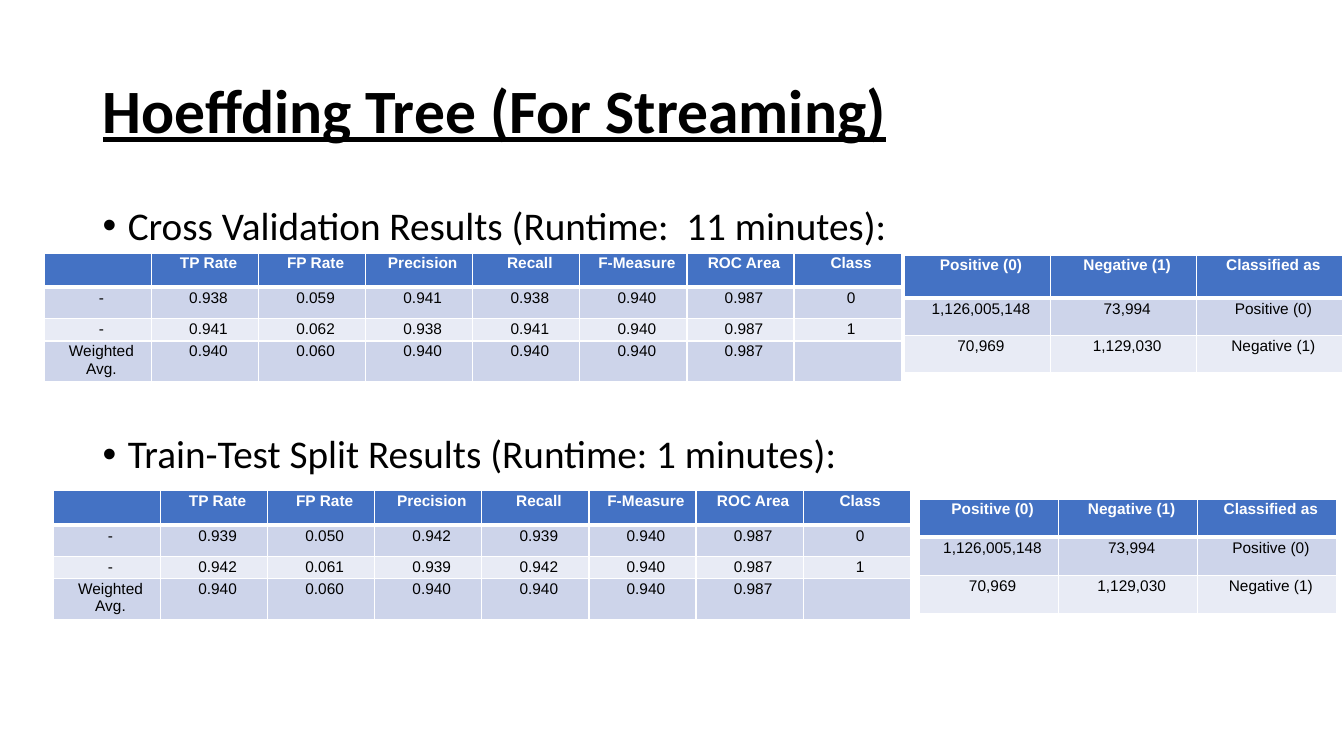
import pptx
import pptx.dml.color
import pptx.enum.text
import pptx.oxml
import pptx.oxml.ns
import pptx.util
from lxml import etree

Inches = pptx.util.Inches
Pt = pptx.util.Pt
RGBColor = pptx.dml.color.RGBColor
ALIGN = pptx.enum.text.PP_ALIGN
ANCHOR = pptx.enum.text.MSO_ANCHOR
qn = pptx.oxml.ns.qn

BLACK = RGBColor(0x00, 0x00, 0x00)
WHITE = RGBColor(0xFF, 0xFF, 0xFF)
HEADER_BLUE = RGBColor(0x44, 0x72, 0xC4)
BAND_DARK = RGBColor(0xCD, 0xD4, 0xEA)
BAND_LIGHT = RGBColor(0xE8, 0xEB, 0xF5)


def write(paragraph, text, size=11, font="Arial", color=BLACK, bold=False,
          underline=False, align=ALIGN.LEFT, line=1.0, before=0):
    paragraph.alignment = align
    paragraph.line_spacing = line
    paragraph.space_before = Pt(before)
    run = paragraph.add_run()
    run.text = text
    run.font.size = Pt(size)
    run.font.name = font
    run.font.color.rgb = color
    run.font.bold = bold
    run.font.underline = underline


def indent(paragraph, left, first=0):
    properties = paragraph._p.get_or_add_pPr()
    properties.set("marL", str(Inches(left)))
    properties.set("indent", str(Inches(first)))
    return properties


class ResultsSlide:
    body_font = "Calibri"
    cell_inset = Inches(0.02)

    def __init__(self, deck):
        self.slide = deck.slides.add_slide(deck.slide_layouts[5])

    def title(self, text, left, top, width, height):
        title = self.slide.shapes.title
        title.left, title.top = Inches(left), Inches(top)
        title.width, title.height = Inches(width), Inches(height)
        frame = title.text_frame
        frame.word_wrap = True
        frame.auto_size = pptx.enum.text.MSO_AUTO_SIZE.NONE
        frame.vertical_anchor = ANCHOR.MIDDLE
        write(frame.paragraphs[0], text, size=44, font=self.body_font,
              bold=True, underline=True, line=0.9)

    def bullets(self, lines, left, top, width, height, gap):
        box = self.slide.shapes.add_textbox(
            Inches(left), Inches(top), Inches(width), Inches(height))
        frame = box.text_frame
        frame.word_wrap = True
        for number, text in enumerate(lines):
            item = frame.add_paragraph() if number else frame.paragraphs[0]
            write(item, text, size=28, font=self.body_font, line=0.9,
                  before=gap if number else 0)
            properties = indent(item, 0.25, -0.25)
            etree.SubElement(properties, qn("a:buFont")).set("typeface", "Arial")
            etree.SubElement(properties, qn("a:buChar")).set("char", "•")

    def table(self, rows, left, top, width, heights):
        columns = len(rows[0])
        table = self.slide.shapes.add_table(
            len(rows), columns, Inches(left), Inches(top),
            Inches(width), Inches(sum(heights))).table
        for column in table.columns:
            column.width = Inches(width / columns)
        for r, (values, height) in enumerate(zip(rows, heights)):
            table.rows[r].height = Inches(height)
            for c, value in enumerate(values):
                self.cell(table.cell(r, c), value, r)

    def cell(self, cell, value, row):
        header = row == 0
        cell.margin_left = cell.margin_right = self.cell_inset
        cell.margin_top = cell.margin_bottom = self.cell_inset
        cell.vertical_anchor = ANCHOR.TOP
        paragraph = cell.text_frame.paragraphs[0]
        write(paragraph, value, color=WHITE if header else BLACK,
              bold=header, align=ALIGN.CENTER)
        indent(paragraph, 0.07)
        cell.fill.solid()
        cell.fill.fore_color.rgb = (
            HEADER_BLUE if header else BAND_DARK if row % 2 else BAND_LIGHT)
        # A thicker rule separates the header from the first data row
        widths = {"L": 1, "R": 1, "T": 3 if row == 1 else 1, "B": 3 if header else 1}
        for position, (side, width) in enumerate(widths.items()):
            border = pptx.oxml.parse_xml(
                f'<a:ln{side} {pptx.oxml.ns.nsdecls("a")} w="{Pt(width)}">'
                f'<a:solidFill><a:srgbClr val="{WHITE}"/></a:solidFill></a:ln{side}>')
            cell._tc.get_or_add_tcPr().insert(position, border)


MEASURES = ["", "TP Rate", "FP Rate", "Precision", "Recall", "F-Measure",
            "ROC Area", "Class"]
WEIGHTED = ["Weighted Avg.", "0.940", "0.060", "0.940", "0.940", "0.940", "0.987", ""]
CROSS_VALIDATION = [
    MEASURES,
    ["-", "0.938", "0.059", "0.941", "0.938", "0.940", "0.987", "0"],
    ["-", "0.941", "0.062", "0.938", "0.941", "0.940", "0.987", "1"],
    WEIGHTED,
]
TRAIN_TEST = [
    MEASURES,
    ["-", "0.939", "0.050", "0.942", "0.939", "0.940", "0.987", "0"],
    ["-", "0.942", "0.061", "0.939", "0.942", "0.940", "0.987", "1"],
    WEIGHTED,
]
CONFUSION = [
    ["Positive (0)", "Negative (1)", "Classified as"],
    ["1,126,005,148", "73,994", "Positive (0)"],
    ["70,969", "1,129,030", "Negative (1)"],
]
MEASURE_HEIGHTS = [0.31, 0.31, 0.21, 0.38]


def main():
    deck = pptx.Presentation()
    deck.slide_width, deck.slide_height = Inches(13.33), Inches(7.5)
    results = ResultsSlide(deck)

    # Heading and section bullets
    results.title("Hoeffding Tree (For Streaming)", 0.92, 0.4, 11.5, 1.45)
    results.bullets(["Cross Validation Results (Runtime:  11 minutes):",
                     "Train-Test Split Results (Runtime: 1 minutes):"],
                    0.92, 2, 11.5, 4.76, gap=133)

    # Measures on the left, confusion matrices on the right
    results.table(CROSS_VALIDATION, 0.44, 2.51, 8.5, MEASURE_HEIGHTS)
    results.table(TRAIN_TEST, 0.53, 4.87, 8.5, MEASURE_HEIGHTS)
    results.table(CONFUSION, 8.97, 2.53, 4.35, [0.43, 0.37, 0.37])
    results.table(CONFUSION, 9.12, 4.95, 4.14, [0.38] * 3)

    deck.save("out.pptx")


if __name__ == "__main__":
    main()
